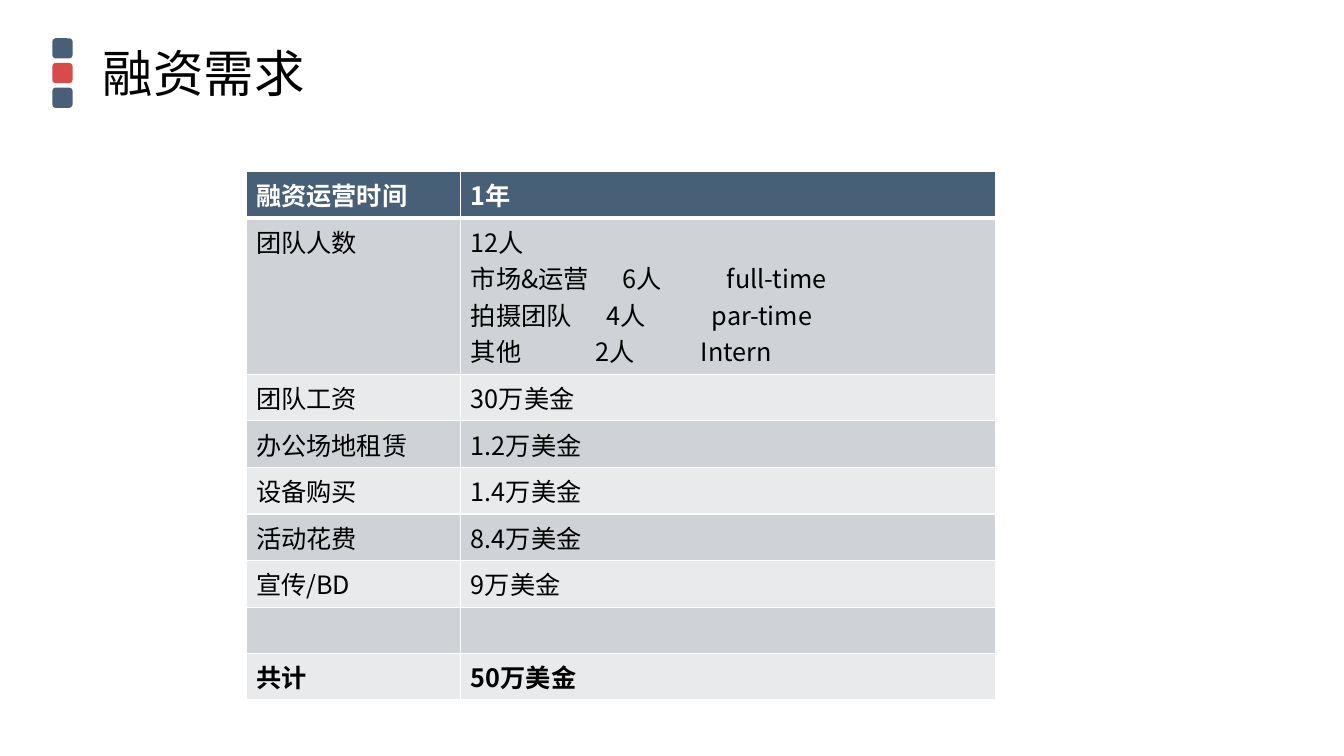
from lxml import etree
from pptx import Presentation
from pptx.dml.color import RGBColor
from pptx.enum import shapes, text
from pptx.oxml import ns
from pptx.util import Inches, Pt

# Content
TITLE = "融资需求"
ROWS = [
    ("融资运营时间", "1年"),
    ("团队人数", ["12人", "市场&运营\t6人\tfull-time",
              "拍摄团队\t4人\tpar-time", "其他\t2人\tIntern"]),
    ("团队工资", "30万美金"),
    ("办公场地租赁", "1.2万美金"),
    ("设备购买", "1.4万美金"),
    ("活动花费", "8.4万美金"),
    ("宣传/BD", "9万美金"),
    ("", ""),
    ("共计", "50万美金"),
]
TABS = [None, 1.5, 1.35, 1.24]  # first tab stop of each staff line
TAB_GAP = 1.04
COLS = [2.13, 5.3]
ROW_H, STAFF_H = 0.46, 1.55

THEME = dict(font="Noto Sans CJK SC", navy="475F77", red="D74B4B",
             dark="CFD2D6", light="E9EAEC", white="FFFFFF", black="000000",
             title=36, body=18)


def paint(fill, name):
    fill.solid()
    fill.fore_color.rgb = RGBColor.from_string(THEME[name])


def write(par, words, size="body", color="black", bold=False):
    run = par.add_run()
    run.text = words
    font = run.font
    font.size, font.bold, font.name = Pt(THEME[size]), bold, THEME["font"]
    font.color.rgb = RGBColor.from_string(THEME[color])
    east = etree.SubElement(run._r.get_or_add_rPr(), ns.qn("a:ea"))
    east.set("typeface", THEME["font"])


def set_tabs(par, first):
    stops = etree.SubElement(par._p.get_or_add_pPr(), ns.qn("a:tabLst"))
    for pos in (first, first + TAB_GAP):
        etree.SubElement(stops, ns.qn("a:tab"), pos=str(Inches(pos)), algn="l")


def set_edges(cell, top, bottom):
    props = cell._tc.get_or_add_tcPr()
    for i, (side, width) in enumerate(zip("LRTB", (1, 1, top, bottom))):
        line = etree.Element(ns.qn("a:ln" + side), w=str(Pt(width)))
        fill = etree.SubElement(line, ns.qn("a:solidFill"))
        etree.SubElement(fill, ns.qn("a:srgbClr"), val=THEME["white"])
        props.insert(i, line)


deck = Presentation()
deck.slide_width, deck.slide_height = Inches(13.33), Inches(7.5)
slide = deck.slides.add_slide(deck.slide_layouts[5])

# Marker squares
for i, name in enumerate(("navy", "red", "navy")):
    mark = slide.shapes.add_shape(
        shapes.MSO_SHAPE.ROUNDED_RECTANGLE, Inches(0.52),
        Inches(0.38 + 0.245 * i), Inches(0.2), Inches(0.2))
    mark.shadow.inherit = False
    paint(mark.fill, name)
    mark.line.fill.background()

# Title
head = slide.shapes.title
head.left, head.top = Inches(0.92), Inches(0.17)
head.width, head.height = Inches(11.5), Inches(1.18)
frame = head.text_frame
frame.auto_size = text.MSO_AUTO_SIZE.NONE
frame.vertical_anchor = text.MSO_ANCHOR.MIDDLE
par = frame.paragraphs[0]
par.alignment, par.line_spacing = text.PP_ALIGN.LEFT, 0.9
write(par, TITLE, size="title")

# Budget table
heights = [STAFF_H if isinstance(row[1], list) else ROW_H for row in ROWS]
table = slide.shapes.add_table(
    len(ROWS), len(COLS), Inches(2.44), Inches(1.7),
    Inches(sum(COLS)), Inches(sum(heights))).table
table.horz_banding = False
for col, width in zip(table.columns, COLS):
    col.width = Inches(width)

for r, row in enumerate(ROWS):
    table.rows[r].height = Inches(heights[r])
    band = "navy" if r == 0 else "dark" if r % 2 else "light"
    for c, value in enumerate(row):
        cell = table.cell(r, c)
        paint(cell.fill, band)
        set_edges(cell, 3 if r == 1 else 1, 3 if r == 0 else 1)
        lines = value if isinstance(value, list) else [value]
        for n, words in enumerate(lines):
            body = cell.text_frame
            par = body.add_paragraph() if n else body.paragraphs[0]
            if "\t" in words:
                set_tabs(par, TABS[n])
            if words:
                write(par, words, color="black" if r else "white",
                      bold=r in (0, len(ROWS) - 1))

deck.save("out.pptx")
